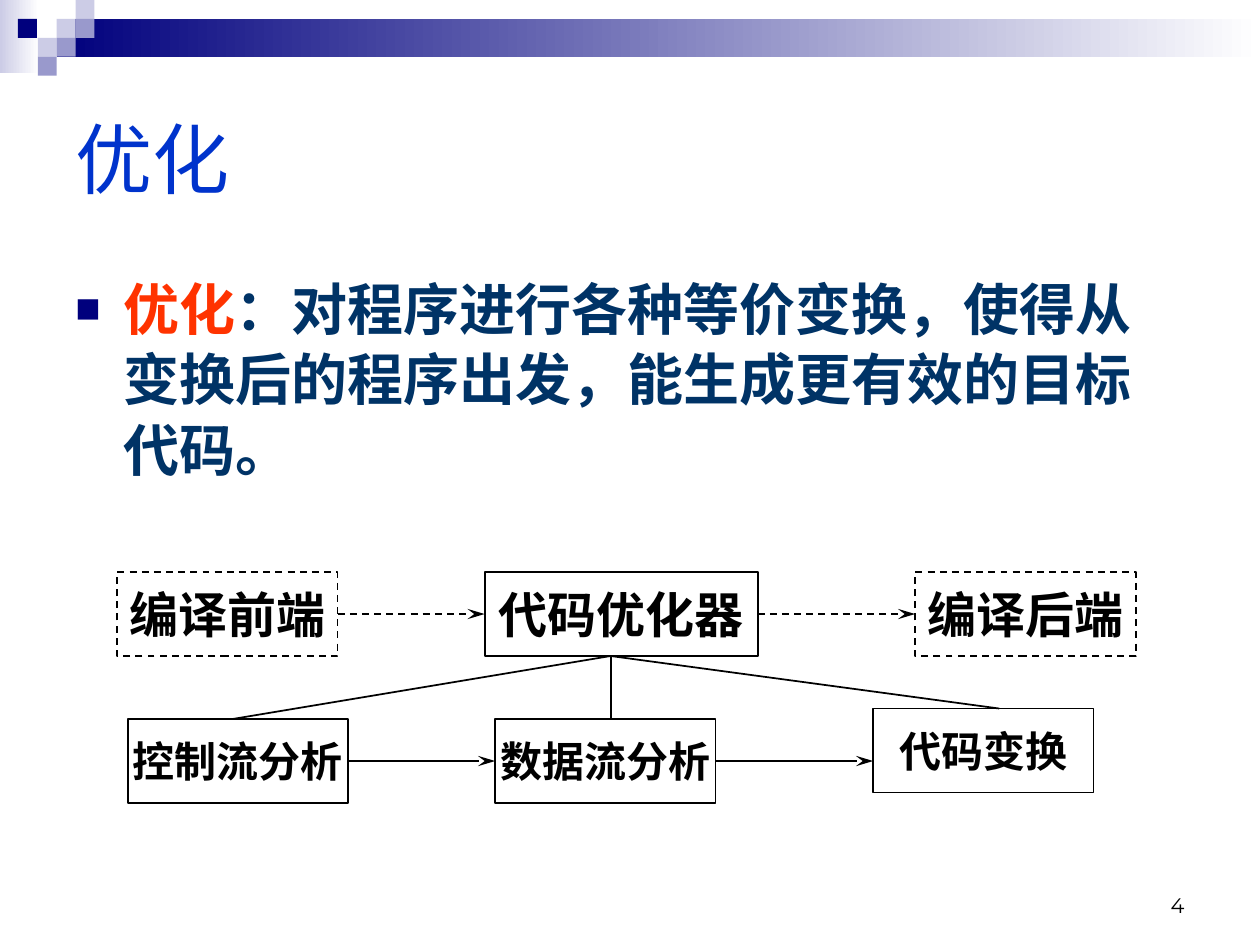
"""Build the slide on code optimization with its flow diagram."""
from pptx import Presentation
from pptx.dml.color import RGBColor
from pptx.enum.dml import MSO_LINE as Dash
from pptx.enum.shapes import MSO_CONNECTOR as Conn, MSO_SHAPE as Shape
from pptx.enum.text import MSO_ANCHOR as Anchor, PP_ALIGN as Align
from pptx.oxml.ns import qn
from pptx.util import Inches, Pt
from lxml.etree import SubElement as Sub

rgb = RGBColor.from_string


def rect(x, y, w, h, fill=None):
    box = shapes.add_shape(Shape.RECTANGLE, Inches(x), Inches(y), Inches(w), Inches(h))
    box.shadow.inherit = False
    box.line.fill.background()
    if fill is None:
        box.fill.background()
    elif len(fill) == 2:
        box.fill.gradient()
        box.fill.gradient_angle = 0
        for stop, tone in zip(box.fill.gradient_stops, fill):
            stop.color.rgb = rgb(tone)
    else:
        box.fill.solid()
        box.fill.fore_color.rgb = rgb(fill)
    return box


def style(run, size, face, tone, bold=False):
    font = run.font
    font.size, font.name, font.bold = Pt(size), face, bold
    font.color.rgb = rgb(tone)


deck = Presentation()
deck.slide_width, deck.slide_height = Inches(10), Inches(7.5)
slide = deck.slides.add_slide(deck.slide_layouts[6])
shapes = slide.shapes

tile = 0.15
rect(0, 0, 0.31, 0.58, ("CCCCE6", "FFFFFF"))
rect(3 * tile, tile, 10 - 3 * tile, 2 * tile, ("00007D", "FFFFFF"))
tiles = [
    (3, 1, "CCCCE6"), (4, 0, "CCCCE6"), (4, 1, "9999CC"), (2, 2, "CCCCE6"),
    (0.95, 1, "00007D"), (3, 2, "9999CC"), (2, 3, "9999CC"),
]
for col, row, tone in tiles:
    rect(col * tile, row * tile, tile, tile, tone)

texts = [
    (0.5, 0.5, 9, 1.5, Anchor.MIDDLE, Align.LEFT,
     [("优化", 44, "Arial", "0033CC", False)]),
    (0.5, 2.1, 9, 2.36, Anchor.TOP, Align.LEFT,
     [("优化", 32, "Noto Sans CJK SC", "FF3300", True),
      ("：对程序进行各种等价变换，使得从变换后的程序出发，能生成更有效的目标代码。",
       32, "Noto Sans CJK SC", "003366", True)]),
    (7.17, 6.83, 2.33, 0.5, Anchor.BOTTOM, Align.RIGHT,
     [("4", 12, "Montserrat", "000000", False)]),
]
for x, y, w, h, anchor, align, runs in texts:
    frame = shapes.add_textbox(Inches(x), Inches(y), Inches(w), Inches(h)).text_frame
    frame.word_wrap, frame.vertical_anchor = True, anchor
    para = frame.paragraphs[0]
    para.alignment = align
    if len(runs) > 1:
        para.line_spacing = 1.05
        props = para._p.get_or_add_pPr()
        props.set("marL", str(Inches(0.38)))
        props.set("indent", str(-Inches(0.38)))
        Sub(Sub(props, qn("a:buClr")), qn("a:srgbClr"), val="00007D")
        Sub(props, qn("a:buSzPct"), val="75000")
        Sub(props, qn("a:buFont"), typeface="Arial")
        Sub(props, qn("a:buChar"), char="■")
    for words, *look in runs:
        run = para.add_run()
        run.text = words
        style(run, *look)

left, top, unit = 0.93, 4.54, 1 / 12
nodes = [
    ("编译前端", 0, 0, 21, 28, True),
    ("代码优化器", 35, 0, 26, 28, False),
    ("编译后端", 76, 0, 21, 28, True),
    ("控制流分析", 1, 14, 21, 24, False),
    ("数据流分析", 36, 14, 21, 24, False),
    ("代码变换", 72, 13, 21, 24, False),
]
boxes = []
for words, col, row, wide, size, dashed in nodes:
    box = rect(left + col * unit, top + row * unit, wide * unit, 8 * unit)
    box.line.color.rgb, box.line.width = rgb("000000"), Pt(1)
    if dashed:
        box.line.dash_style = Dash.DASH
    frame = box.text_frame
    frame.text = words
    frame.word_wrap, frame.vertical_anchor = False, Anchor.MIDDLE
    para = frame.paragraphs[0]
    para.alignment = Align.CENTER
    style(para.runs[0], size, "Times New Roman", "000000", True)
    boxes.append(box)

front, tuner, back, control, data, change = boxes
links = [
    (21, 4, 35, 4, front, tuner, True),
    (61, 4, 76, 4, tuner, back, True),
    (22, 18, 36, 18, control, data, False),
    (57, 18, 72, 18, data, None, False),
    (47, 8, 11, 14, None, None, False),
    (47, 8, 47, 14, None, None, False),
    (47, 8, 84, 13, None, None, False),
]
for x1, y1, x2, y2, start, end, dashed in links:
    link = shapes.add_connector(
        Conn.STRAIGHT, Inches(left + x1 * unit), Inches(top + y1 * unit),
        Inches(left + x2 * unit), Inches(top + y2 * unit))
    link.line.color.rgb, link.line.width = rgb("000000"), Pt(1)
    if dashed:
        link.line.dash_style = Dash.DASH
    if y1 == y2:
        Sub(link.line._get_or_add_ln(), qn("a:tailEnd"), type="stealth", w="med", len="lg")
    Sub(link._element.spPr, qn("a:effectLst"))
    if start:
        start_side = 3
        link.begin_connect(start, start_side)
    if end:
        end_side = 1
        link.end_connect(end, end_side)

deck.save("out.pptx")
